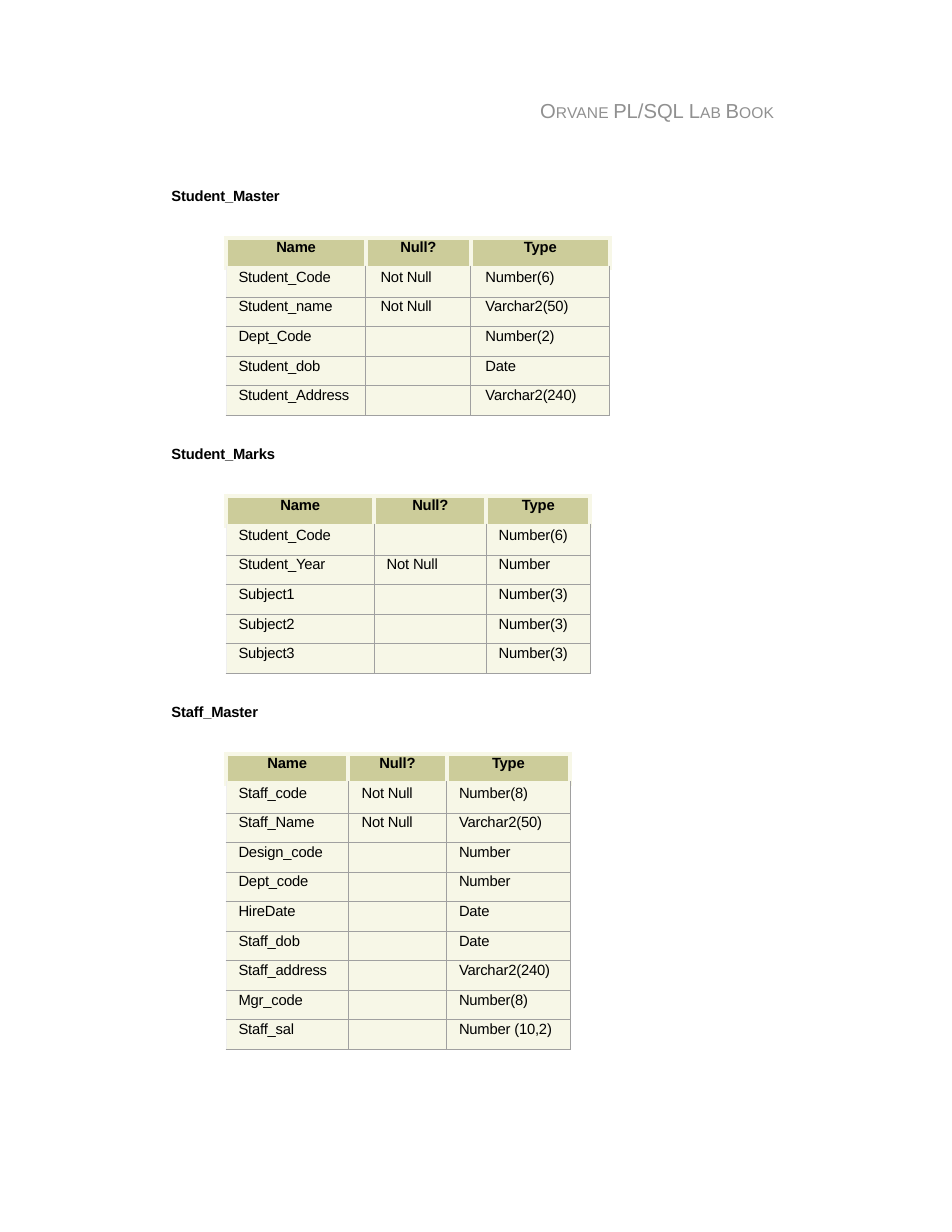
import pptx
import pptx.util
import pptx.dml.color
import pptx.enum.text
import pptx.oxml
import pptx.oxml.ns

Cm = pptx.util.Cm
Pt = pptx.util.Pt
qn = pptx.oxml.ns.qn
CENTER = pptx.enum.text.PP_ALIGN.CENTER


def rgb(value):
    return pptx.dml.color.RGBColor.from_string(value)


class Page:
    font = "Arial"
    size = 9.5
    ink, gray = "000000", "909090"
    head_fill, body_fill = "CCCC9A", "F7F7E7"
    rule, left_rule = "A0A0A0", "EFEFEF"

    def __init__(self, prs):
        self.s = prs.slides.add_slide(prs.slide_layouts[6])

    def run(self, r, size, color, bold, spacing):
        r.font.name = self.font
        r.font.size = Pt(size)
        r.font.bold = bold
        r.font.color.rgb = rgb(color)
        r._r.get_or_add_rPr().set("spc", str(spacing))

    def box(self, x, y, w, h, before):
        tf = self.s.shapes.add_textbox(Cm(x), Cm(y), Cm(w), Cm(h)).text_frame
        tf.margin_left = tf.margin_right = tf.margin_bottom = 0
        tf.margin_top = Cm(0.03)
        tf.word_wrap = True
        p = tf.paragraphs[0]
        p.space_before = Pt(before)
        p._p.get_or_add_pPr().set("marL", str(Cm(0.03)))
        return p

    def title(self, parts, x, y, w, h):
        p = self.box(x, y, w, h, 1.1)
        for text, size, spacing in parts:
            r = p.add_run()
            r.text = text
            self.run(r, size, self.gray, False, spacing)

    def heading(self, text, x, y):
        p = self.box(x, y, 3, 0.48, 0.9)
        p.text = text
        self.run(p.runs[0], self.size, self.ink, True, -10)

    def border(self, cell, side, color, width):
        ln = pptx.oxml.parse_xml(
            f'<a:ln{side} {pptx.oxml.ns.nsdecls("a")} w="{Pt(width)}">'
            f'<a:solidFill><a:srgbClr val="{color}"/></a:solidFill></a:ln{side}>')
        cell._tc.get_or_add_tcPr().append(ln)

    def cell(self, cell, text, row, col, indent):
        head = row == 0
        thick = (self.body_fill, 3)
        thin = (self.rule, 0.75)
        edges = dict.fromkeys("LRTB", thick if head else thin)
        if row == 1:
            edges["T"] = thick
        if not head and col == 0:
            edges["L"] = (self.left_rule, 0.75)
        for side, (color, width) in edges.items():
            self.border(cell, side, color, width)
        cell.fill.solid()
        cell.fill.fore_color.rgb = rgb(self.head_fill if head else self.body_fill)
        cell.margin_left = cell.margin_right = cell.margin_bottom = 0
        cell.margin_top = Cm(0.03)
        p = cell.text_frame.paragraphs[0]
        p.space_before = Pt(0.65)
        if head:
            p.alignment = CENTER
        else:
            p._p.get_or_add_pPr().set("marL", str(Cm(indent)))
        if text:
            p.text = text
            self.run(p.runs[0], self.size, self.ink, head, -10)
        else:
            end = p._p.makeelement(qn("a:endParaRPr"), {"sz": str(int(self.size * 100))})
            p._p.append(end)

    def table(self, rows, x, y, widths, indents, row_height=0.67):
        gf = self.s.shapes.add_table(len(rows), len(widths), Cm(x), Cm(y),
                                     Cm(sum(widths)), Cm(row_height * len(rows)))
        tbl = gf.table
        tbl.first_row = tbl.horz_banding = False
        for column, width in zip(tbl.columns, widths):
            column.width = Cm(width)
        for i, row in enumerate(rows):
            tbl.rows[i].height = Cm(row_height)
            for j, text in enumerate(row):
                self.cell(tbl.cell(i, j), text, i, j, indents[j])


HEADER = ("Name", "Null?", "Type")
TITLE = [("O", 13, 10), ("RVANE ", 10, 10), ("PL/SQL ", 13, 0), ("L", 13, 10),
         ("AB ", 10, 10), ("B", 13, 10), ("OOK", 10, 10)]
TABLES = [
    ("Student_Master", (3.17, 2.38, 3.15), (0.28, 0.33, 0.33), [
        ("Student_Code", "Not Null", "Number(6)"),
        ("Student_name", "Not Null", "Varchar2(50)"),
        ("Dept_Code", "", "Number(2)"),
        ("Student_dob", "", "Date"),
        ("Student_Address", "", "Varchar2(240)"),
    ]),
    ("Student_Marks", (3.36, 2.54, 2.36), (0.28, 0.28, 0.28), [
        ("Student_Code", "", "Number(6)"),
        ("Student_Year", "Not Null", "Number"),
        ("Subject1", "", "Number(3)"),
        ("Subject2", "", "Number(3)"),
        ("Subject3", "", "Number(3)"),
    ]),
    ("Staff_Master", (2.77, 2.23, 2.8), (0.28, 0.3, 0.28), [
        ("Staff_code", "Not Null", "Number(8)"),
        ("Staff_Name", "Not Null", "Varchar2(50)"),
        ("Design_code", "", "Number"),
        ("Dept_code", "", "Number"),
        ("HireDate", "", "Date"),
        ("Staff_dob", "", "Date"),
        ("Staff_address", "", "Varchar2(240)"),
        ("Mgr_code", "", "Number(8)"),
        ("Staff_sal", "", "Number (10,2)"),
    ]),
]


def main():
    prs = pptx.Presentation()
    prs.slide_width, prs.slide_height = Cm(21.59), Cm(27.94)
    page = Page(prs)
    page.title(TITLE, 12.22, 2.21, 5.6, 0.64)
    for i, (name, widths, indents, rows) in enumerate(TABLES):
        top = 4.2 + 5.85 * i
        page.heading(name, 3.86, top)
        page.table([HEADER] + rows, 5.13, top + 1.2, widths, indents)
    prs.save("out.pptx")


if __name__ == "__main__":
    main()
